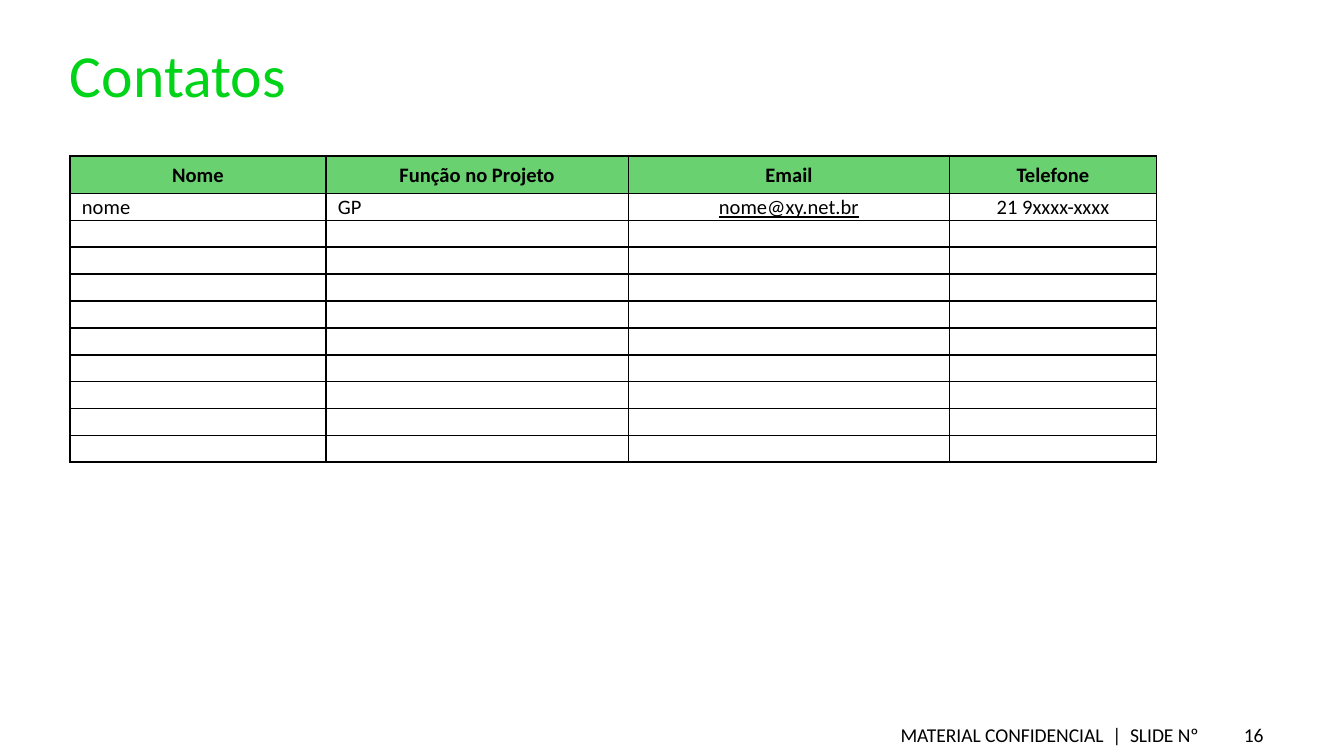
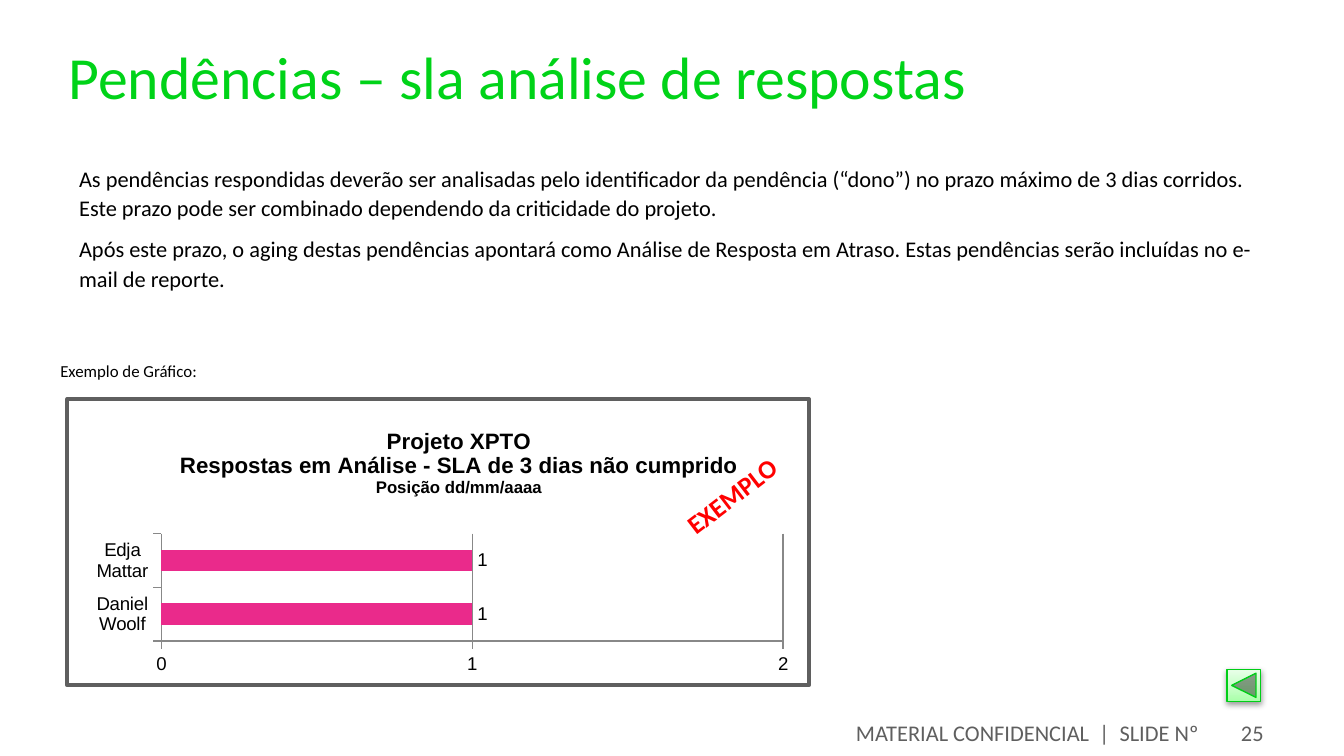
from lxml.etree import SubElement
from pptx import Presentation
from pptx.chart.data import CategoryChartData
from pptx.dml.color import RGBColor
from pptx.enum.chart import XL_CHART_TYPE as ChartType
from pptx.enum.chart import XL_LABEL_POSITION as LabelPosition
from pptx.enum.chart import XL_TICK_MARK as TickMark
from pptx.enum.shapes import MSO_SHAPE as Shape
from pptx.enum.text import MSO_ANCHOR as Anchor
from pptx.enum.text import PP_ALIGN as Align
from pptx.oxml import parse_xml
from pptx.oxml.ns import nsdecls, qn
from pptx.util import Pt

EMU_PER_PX = 4572  # 200 px to the inch

GREEN = RGBColor(0x00, 0xD3, 0x18)
HEADER_GREEN = RGBColor(0x69, 0xD1, 0x70)
BUTTON_GREEN = RGBColor(0x00, 0xCE, 0x17)
PINK = RGBColor(0xEA, 0x2A, 0x8B)
RED = RGBColor(0xFF, 0x00, 0x00)
GRAY = RGBColor(0x5F, 0x5F, 0x5F)
AXIS_GRAY = RGBColor(0x88, 0x88, 0x88)
BLACK = RGBColor(0x00, 0x00, 0x00)
WHITE = RGBColor(0xFF, 0xFF, 0xFF)


def px(*lengths):
    return [length * EMU_PER_PX for length in lengths]


def add_text(slide, place, lines, size, color, align=Align.LEFT, anchor=Anchor.TOP,
             bold=False, inset=True, spaced=False):
    """Add a Calibri text box, one paragraph per line; spaced opens up the lines."""
    box = slide.shapes.add_textbox(*px(*place))
    frame = box.text_frame
    frame.word_wrap = True
    frame.vertical_anchor = anchor
    if not inset:
        frame.margin_left = frame.margin_right = 0
        frame.margin_top = frame.margin_bottom = 0
    for i, line in enumerate(lines):
        paragraph = frame.paragraphs[0] if i == 0 else frame.add_paragraph()
        paragraph.alignment = align
        if spaced:
            paragraph.line_spacing = 1.1
            paragraph.space_after = Pt(6)
        run = paragraph.add_run()
        run.text = line
        run.font.name = "Calibri"
        run.font.size = Pt(size)
        run.font.bold = bold
        run.font.color.rgb = color
    return box


prs = Presentation()
prs.slide_width, prs.slide_height = px(2000, 1125)

# Title and footer of both slides
slides = []
for title, title_left, title_top, number, footer_size, footer_color, footer_anchor in (
    ("Contatos", 104, 56, "16", 10.5, BLACK, Anchor.TOP),
    ("Pendências – sla análise de respostas", 102, 59, "25", 12, GRAY, Anchor.MIDDLE),
):
    slide = prs.slides.add_slide(prs.slide_layouts[6])
    add_text(slide, (title_left, title_top, 1796, 156), [title], 32, GREEN, inset=False)
    for left, width, footer in (
        (100, 1704, "MATERIAL CONFIDENCIAL  |  SLIDE Nº"),
        (1804, 96, number),
    ):
        add_text(slide, (left, 1066, width, 48), [footer], footer_size, footer_color,
                 Align.RIGHT, footer_anchor)
    slides.append(slide)
contacts, pending = slides

# Contacts table
headings = ("Nome", "Função no Projeto", "Email", "Telefone")
contact = ("nome", "GP", "nome@xy.net.br", "21 9xxxx-xxxx")
column_widths = px(381, 450, 478, 308)
row_heights = px(56, *[40] * 10)
table = contacts.shapes.add_table(len(row_heights), len(headings),
                                  *px(104, 232, 1617, 456)).table
table.first_row = table.horz_banding = False
for column, width in zip(table.columns, column_widths):
    column.width = width
for r, height in enumerate(row_heights):
    table.rows[r].height = height
    for c, heading in enumerate(headings):
        cell = table.cell(r, c)
        left_aligned = r > 0 and c < 2
        cell.vertical_anchor = Anchor.MIDDLE
        cell.margin_left, cell.margin_right, cell.margin_top, cell.margin_bottom = px(
            18 if left_aligned else 2, 2, 2, 0)
        borders = cell._tc.get_or_add_tcPr()
        for edge in ("a:lnL", "a:lnR", "a:lnT", "a:lnB"):
            border = SubElement(borders, qn(edge), w=str(Pt(1)))
            SubElement(SubElement(border, qn("a:solidFill")), qn("a:srgbClr"), val=str(BLACK))
        if r == 0:
            cell.fill.solid()
            cell.fill.fore_color.rgb = HEADER_GREEN
        else:
            cell.fill.background()
        paragraph = cell.text_frame.paragraphs[0]
        if r > 1:
            SubElement(paragraph._p, qn("a:endParaRPr"), sz="1100")
            continue
        paragraph.alignment = Align.LEFT if left_aligned else Align.CENTER
        run = paragraph.add_run()
        run.text = heading if r == 0 else contact[c]
        run.font.name = "Calibri"
        run.font.size = Pt(11)
        run.font.bold = r == 0
        run.font.underline = r == 1 and heading == "Email"
        run.font.color.rgb = BLACK

# Framed chart of late answers
chart_frame = pending.shapes.add_shape(Shape.RECTANGLE, *px(100, 594, 1104, 426))
chart_frame.shadow.inherit = False
chart_frame.fill.solid()
chart_frame.fill.fore_color.rgb = WHITE
chart_frame.line.color.rgb = GRAY
chart_frame.line.width = Pt(2)

# Rules for pending answers
add_text(pending, (98, 232, 1796, 214), [
    "As pendências respondidas deverão ser analisadas pelo identificador da pendência "
    "(“dono”) no prazo máximo de 3 dias corridos. Este prazo pode ser combinado "
    "dependendo da criticidade do projeto.",
    "Após este prazo, o aging destas pendências apontará como Análise de Resposta em "
    "Atraso. Estas pendências serão incluídas no e-mail de reporte.",
], 12, BLACK, spaced=True)
add_text(pending, (70, 524, 1796, 54), ["Exemplo de Gráfico:"], 9, BLACK, spaced=True)

late_answers = CategoryChartData()
late_answers.categories = ("Daniel Woolf", "Edja Mattar")
late_answers.add_series("Series 1", (1, 1))
chart = pending.shapes.add_chart(ChartType.BAR_CLUSTERED, *px(110, 614, 1078, 392),
                                 late_answers).chart
chart.has_legend = False
chart.font.name = "Arial"
chart.font.size = Pt(10)
chart.font.color.rgb = BLACK

chart_title = chart.chart_title.text_frame
for i, (line, size) in enumerate((
    ("Projeto XPTO", 12),
    ("Respostas em Análise - SLA de 3 dias não cumprido", 12),
    ("Posição dd/mm/aaaa", 9),
)):
    paragraph = chart_title.paragraphs[0] if i == 0 else chart_title.add_paragraph()
    run = paragraph.add_run()
    run.text = line
    run.font.name = "Arial"
    run.font.size = Pt(size)
    run.font.bold = True
    run.font.color.rgb = BLACK

plot = chart.plots[0]
plot.gap_width = 150
plot.vary_by_categories = False
plot.has_data_labels = True
plot.data_labels.show_value = True
plot.data_labels.position = LabelPosition.OUTSIDE_END
bars = plot.series[0]
bars.format.fill.solid()
bars.format.fill.fore_color.rgb = PINK

days = chart.value_axis
days.minimum_scale, days.maximum_scale, days.major_unit = 0, 2, 1
days.has_major_gridlines = True
for axis in (chart.category_axis, days):
    axis.major_tick_mark = TickMark.OUTSIDE
    axis.minor_tick_mark = TickMark.NONE
for rule in (chart.category_axis.format.line, days.format.line,
             days.major_gridlines.format.line):
    rule.color.rgb = AXIS_GRAY
    rule.width = Pt(0.75)

chart_space = chart._chartSpace
for part, position, layout_fields in (
    ("c:title", 1, {"xMode": "edge", "yMode": "edge", "x": 0.14, "y": 0.04}),
    ("c:plotArea", 0, {"layoutTarget": "inner", "xMode": "edge", "yMode": "edge",
                       "x": 0.12, "y": 0.46, "w": 0.86, "h": 0.41}),
):
    parent = chart_space.find(".//" + qn(part))
    for automatic in parent.findall(qn("c:layout")):
        parent.remove(automatic)
    layout = parse_xml(f"<c:layout {nsdecls('c')}/>")
    manual = SubElement(layout, qn("c:manualLayout"))
    for field, value in layout_fields.items():
        SubElement(manual, qn(f"c:{field}"), val=str(value))
    parent.insert(position, layout)
chart_space.find(qn("c:chart")).addnext(parse_xml(
    f"<c:spPr {nsdecls('c', 'a')}><a:noFill/><a:ln w='9525'><a:solidFill>"
    f"<a:srgbClr val='{WHITE}'/></a:solidFill></a:ln></c:spPr>"))

example_stamp = add_text(pending, (884, 704, 410, 68), ["EXEMPLO"], 14, RED,
                         Align.CENTER, bold=True)
example_stamp.rotation = 322.5

# Back button
back_button = pending.shapes.add_shape(Shape.ACTION_BUTTON_BACK_OR_PREVIOUS,
                                       *px(1826, 996, 50, 48))
back_button.line.color.rgb = BUTTON_GREEN
back_button.line.width = Pt(0.75)
back_button.shadow.inherit = False
button_format = back_button._element.spPr
button_format.find(qn("a:prstGeom")).addnext(parse_xml(
    f"<a:gradFill {nsdecls('a')}><a:gsLst>"
    "<a:gs pos='0'><a:srgbClr val='A8FFA9'/></a:gs>"
    "<a:gs pos='35000'><a:srgbClr val='C2FFC2'/></a:gs>"
    "<a:gs pos='100000'><a:srgbClr val='E8FFE8'/></a:gs>"
    "</a:gsLst><a:lin ang='16200000' scaled='1'/></a:gradFill>"))
shadow = SubElement(button_format.find(qn("a:effectLst")), qn("a:outerShdw"),
                    blurRad="40000", dist="20000", dir="5400000", rotWithShape="0")
shadow_color = SubElement(shadow, qn("a:srgbClr"), val=str(BLACK))
SubElement(shadow_color, qn("a:alpha"), val="38000")

prs.save("out.pptx")
